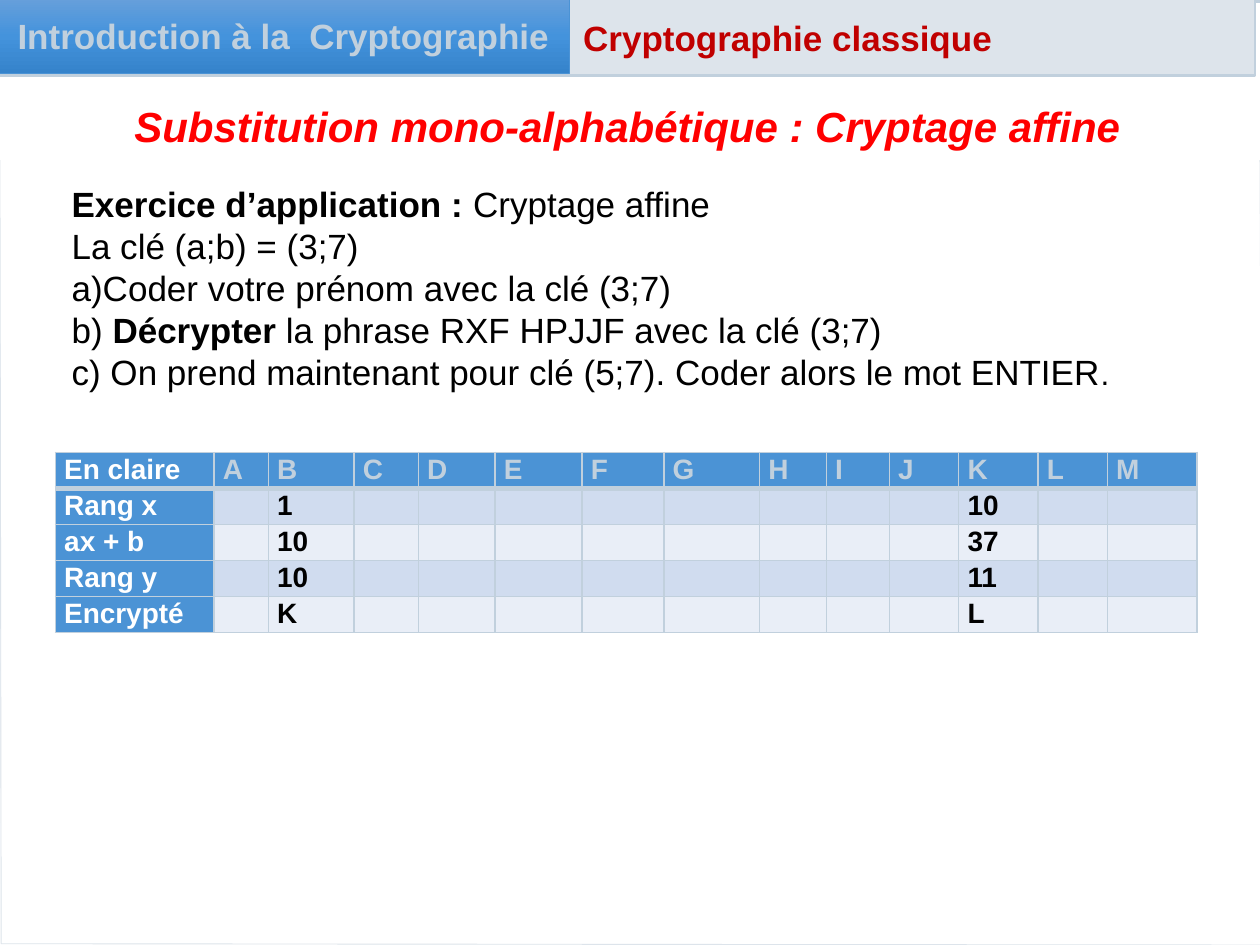
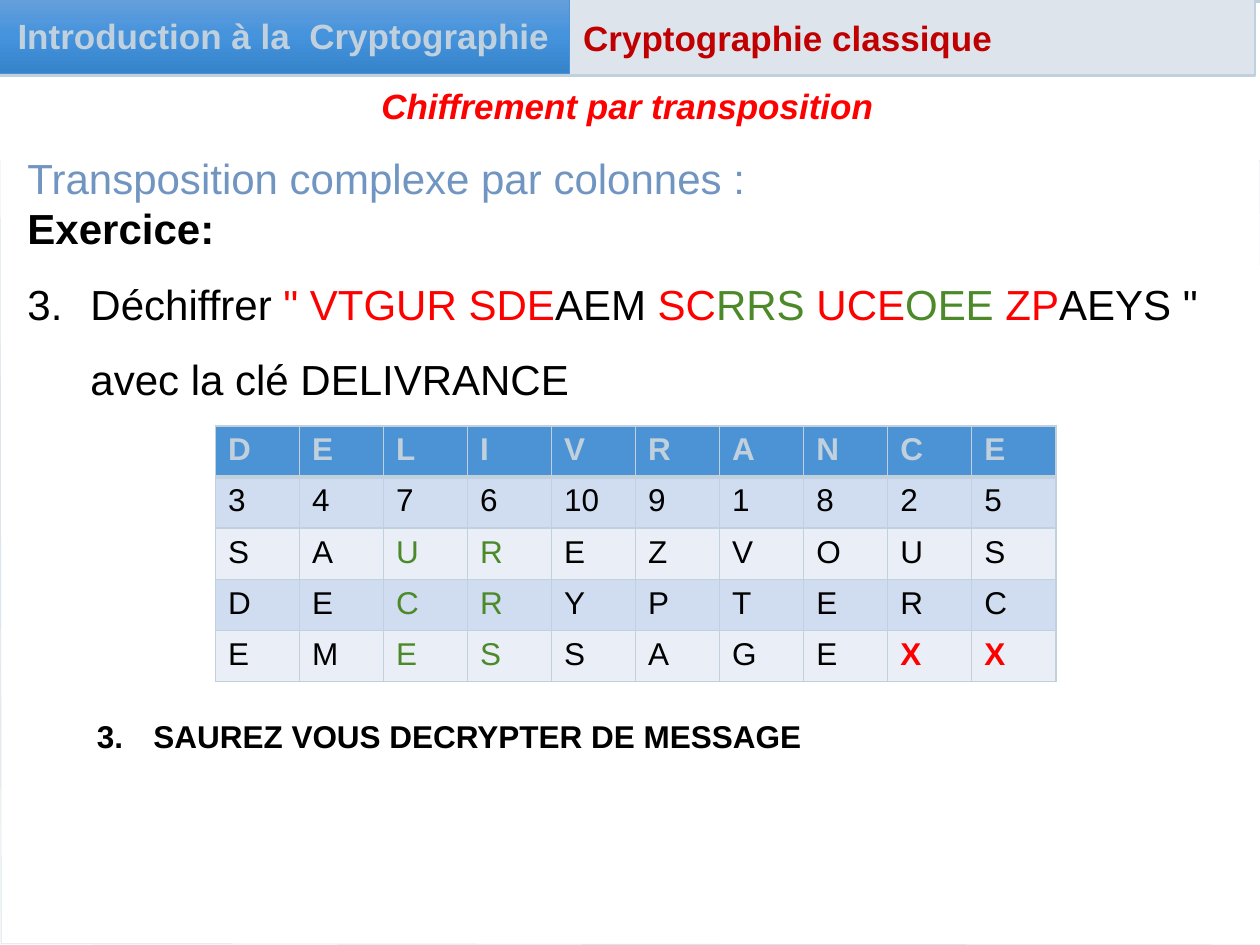
from copy import deepcopy

from lxml import etree
from pptx import Presentation
from pptx.dml.color import RGBColor
from pptx.enum.shapes import MSO_SHAPE
from pptx.enum.text import MSO_ANCHOR, MSO_AUTO_SIZE, PP_ALIGN
from pptx.oxml.ns import qn
from pptx.util import Inches, Pt

RECT = MSO_SHAPE.RECTANGLE
TOP, MIDDLE = MSO_ANCHOR.TOP, MSO_ANCHOR.MIDDLE
LEFT, CENTER = PP_ALIGN.LEFT, PP_ALIGN.CENTER
NO_FIT = MSO_AUTO_SIZE.NONE

COLS = 100
FONT = "Arial"
COLORS = {
    "black": "000000", "white": "FFFFFF", "red": "FF0000", "crimson": "C00000",
    "green": "4C8929", "steel": "7095C1", "blue": "4B93D5", "mist": "C1D0DD",
    "pale": "DDE4EB", "odd": "D0DCEF", "even": "E9EEF7",
    "sky_top": "669FDB", "sky_mid": "4493DC", "sky_low": "3583CB",
}
BOLD = {"bold": True}
RED, GREEN, BLACK = ({"color": c} for c in ("red", "green", "black"))


def rgb(name):
    """Return the named colour."""
    return RGBColor.from_string(COLORS[name])


class Deck:
    """Holds the style and the current slide, on a grid of 100 by 75 units."""

    def __init__(self):
        """Open a 10 by 7.5 inch presentation."""
        self.prs = Presentation()
        self.prs.slide_width, self.prs.slide_height = Inches(10), Inches(7.5)
        self.unit = self.prs.slide_width // COLS
        self.s = None

    def units(self, *values):
        """Convert grid units to lengths."""
        return [round(v * self.unit) for v in values]

    def gradient(self, fill, root, *names):
        """Fill from top to bottom with evenly spaced colours."""
        fill.gradient()
        fill.gradient_angle = 270
        stops = next(root.iter(qn("a:gsLst")))
        for _ in names[2:]:
            stops.append(deepcopy(stops[0]))
        for i, (stop, name) in enumerate(zip(fill.gradient_stops, names)):
            stop.position = i / (len(names) - 1)
            stop.color.rgb = rgb(name)

    def finish(self, sp, fill, line, width):
        """Give a shape its fill and outline and no shadow."""
        sp.shadow.inherit = False
        if isinstance(fill, tuple):
            self.gradient(sp.fill, sp._element, *fill)
        else:
            sp.fill.solid()
            sp.fill.fore_color.rgb = rgb(fill)
        sp.line.color.rgb = rgb(line)
        sp.line.width = Pt(width)

    def rect(self, box, fill, line, width):
        """Add a rectangle."""
        sp = self.s.shapes.add_shape(RECT, *self.units(*box))
        self.finish(sp, fill, line, width)
        return sp

    def outline(self, points, fill, line, width):
        """Add a closed polygon."""
        first, *rest = (self.units(*pt) for pt in points)
        builder = self.s.shapes.build_freeform(*first, scale=1.0)
        builder.add_line_segments(rest, close=True)
        self.finish(builder.convert_to_shape(), fill, line, width)

    def run(self, p, text, **fmt):
        """Add a formatted run."""
        r = p.add_run()
        r.text = text
        r.font.name = FONT
        r.font.color.rgb = rgb(fmt.pop("color", "black"))
        for key, value in fmt.items():
            setattr(r.font, key, Pt(value) if key == "size" else value)

    def fill_text(self, tf, paragraphs, align=LEFT, anchor=TOP, **base):
        """Fill a text frame with paragraphs, each a list of (text, format) runs."""
        for key, value in {"word_wrap": True, "auto_size": NO_FIT,
                           "vertical_anchor": anchor}.items():
            setattr(tf, key, value)
        for i, runs in enumerate(paragraphs):
            p = tf.add_paragraph() if i else tf.paragraphs[0]
            p.alignment = align
            for text, fmt in runs:
                self.run(p, text, **{**base, **fmt})

    def text(self, box, paragraphs, **base):
        """Add a text box."""
        tf = self.s.shapes.add_textbox(*self.units(*box)).text_frame
        self.fill_text(tf, paragraphs, **base)
        return tf

    def number(self, p, start, indent):
        """Number a paragraph with a hanging indent."""
        pPr = p._p.get_or_add_pPr()
        hang, = self.units(indent)
        pPr.set("marL", str(hang))
        pPr.set("indent", str(-hang))
        etree.SubElement(pPr, qn("a:buAutoNum"), type="arabicPeriod", startAt=str(start))

    def slide(self, title, top, height, size):
        """Start a slide with its background, header band and title."""
        self.s = self.prs.slides.add_slide(self.prs.slide_layouts[5])
        self.gradient(self.s.background.fill, self.s._element, "mist", "white")
        self.outline([(0.1, 74.9), (100.3, 75), (100, 12.1), (0, 12.1)], "white", "pale", 0.5)
        self.rect((0, 0.3, 100, 12.3), "white", "white", 1)
        self.rect((-0.2, -0.3, 99.8, 6.3), "pale", "mist", 1.5)
        self.text((45.3, 0.8, 45.7, 4.4), [[("Cryptographie classique", {})]],
                  size=20, bold=True, color="crimson")
        sp = self.rect((-0.2, -0.1, 45.4, 5.9), ("sky_top", "sky_mid", "sky_low"), "blue", 0.5)
        self.fill_text(sp.text_frame, [[("Introduction à la  Cryptographie", {})]], CENTER, MIDDLE,
                       size=20, bold=True, color="mist")
        sp = self.s.shapes.title
        self.s.shapes._spTree.append(sp._element)
        sp.left, sp.top, sp.width, sp.height = self.units(0, top, 99.6, height)
        self.fill_text(sp.text_frame, [[(title, {})]], CENTER,
                       size=size, bold=True, italic=True, color="red")

    def borders(self, cell, bottom):
        """Draw the four borders of a cell."""
        tcPr = cell._tc.get_or_add_tcPr()
        for i, (side, width) in enumerate(zip("LRTB", (1, 1, 1, bottom))):
            ln = etree.Element(qn(f"a:ln{side}"), w=str(Pt(width)))
            fill = etree.SubElement(ln, qn("a:solidFill"))
            etree.SubElement(fill, qn("a:srgbClr"), val=COLORS["mist"])
            tcPr.insert(i, ln)

    def table(self, box, widths, rows, size, cell_format, margins=(1, 0.5), spacing=1.0):
        """Add a banded table; cell_format(row, column) gives the text format."""
        frame = self.s.shapes.add_table(len(rows), len(widths), *self.units(*box))
        tbl = frame.table
        for col, width in zip(tbl.columns, widths):
            col.width, = self.units(width)
        side, edge = self.units(*margins)
        for i, row in enumerate(rows):
            tbl.rows[i].height, = self.units(box[3] / len(rows))
            for j, text in enumerate(row):
                cell = tbl.cell(i, j)
                fmt = {"size": size, **cell_format(i, j)}
                fill = fmt.pop("fill", "odd" if i % 2 else "even")
                for key, value in zip(("left", "right", "top", "bottom"), (side, side, edge, edge)):
                    setattr(cell, f"margin_{key}", value)
                cell.fill.solid()
                cell.fill.fore_color.rgb = rgb(fill)
                self.borders(cell, 1 if i else 3)
                p = cell.text_frame.paragraphs[0]
                p.line_spacing = spacing
                if text:
                    self.run(p, text, **fmt)
                else:
                    end = p._p.get_or_add_endParaRPr()
                    end.set("sz", str(size * 100))
                    etree.SubElement(end, qn("a:latin"), typeface=FONT)


def affine_format(i, j):
    """Format the affine table: blue header row and column."""
    if j == 0:
        return {"bold": True, "color": "white", "fill": "blue"}
    return {"bold": True} if i else {"bold": True, "color": "mist", "fill": "blue"}


def column_format(i, j):
    """Format the transposition table: green columns and red padding."""
    if i == 0:
        return {"bold": True, "color": "mist", "fill": "blue"}
    if i == 4 and j >= 8:
        return {**RED, **BOLD}
    return GREEN if i >= 2 and j in (2, 3) else BLACK


def affine_slide(deck):
    """Build the affine cipher exercise."""
    deck.slide("Substitution mono-alphabétique : Cryptage affine", 7.5, 5, 24)
    deck.text((4.7, 14, 86.6, 17.8), [
        [("Exercice d’application : ", BOLD), ("Cryptage affine", {})],
        [("La clé (a;b) = (3;7)", {})],
        [("a)Coder votre prénom avec la clé (3;7)", {})],
        [("b) ", {}), ("Décrypter", BOLD), (" la phrase RXF HPJJF avec la clé (3;7)", {})],
        [("c) On prend maintenant pour clé (5;7). Coder alors le mot ENTIER", {}),
         (".", {"size": 18})],
    ], size=20)
    letters = "ABCDEFGHIJKLM"
    known = {"Rang x": ("1", "10"), "ax + b": ("10", "37"),
             "Rang y": ("10", "11"), "Encrypté": ("K", "L")}
    rows = [["En claire", *letters]]
    for label, pair in known.items():
        values = dict(zip("BK", pair))
        rows.append([label, *(values.get(c, "") for c in letters)])
    widths = [12.6, 4.3, 6.8, 5.1, 6.1, 6.9, 6.5, 7.6, 5.3, 5, 5.5, 6.3, 5.5, 7.1]
    deck.table((4.4, 35.9, 90.6, 14.3), widths, rows, 16, affine_format, (0.7, 0), 1.07)


def transposition_slide(deck):
    """Build the column transposition exercise."""
    deck.slide("Chiffrement par transposition", 6.2, 4.4, 20)
    tf = deck.text((1.2, 11.6, 98.4, 21.2), [
        [("Transposition complexe par colonnes :", {"color": "steel"})],
        [("Exercice:", BOLD)],
        [("Déchiffrer ", {}), ("\" VTGUR SDE", RED), ("AEM ", {}), ("SC", RED),
         ("RRS ", GREEN), ("UCE", RED), ("OEE", GREEN), (" ZP", RED),
         ("AEYS \" avec la clé DELIVRANCE", {})],
    ], size=24)
    p = tf.paragraphs[2]
    p.line_spacing = 1.5
    deck.number(p, 3, 5)
    rows = [list("DELIVRANCE"), "3 4 7 6 10 9 1 8 2 5".split(),
            list("SAUREZVOUS"), list("DECRYPTERC"), list("EMESSAGEXX")]
    deck.table((17.1, 33.8, 66.7, 20.3), [6.67] * 10, rows, 18, column_format)
    tf = deck.text((6.7, 56.4, 84.3, 7.1), [[(" SAUREZ VOUS DECRYPTER DE MESSAGE", {})]],
                   size=18, bold=True)
    deck.number(tf.paragraphs[0], 3, 3.8)


def main():
    """Build and save the slides."""
    deck = Deck()
    affine_slide(deck)
    transposition_slide(deck)
    deck.prs.save("out.pptx")


if __name__ == "__main__":
    main()
